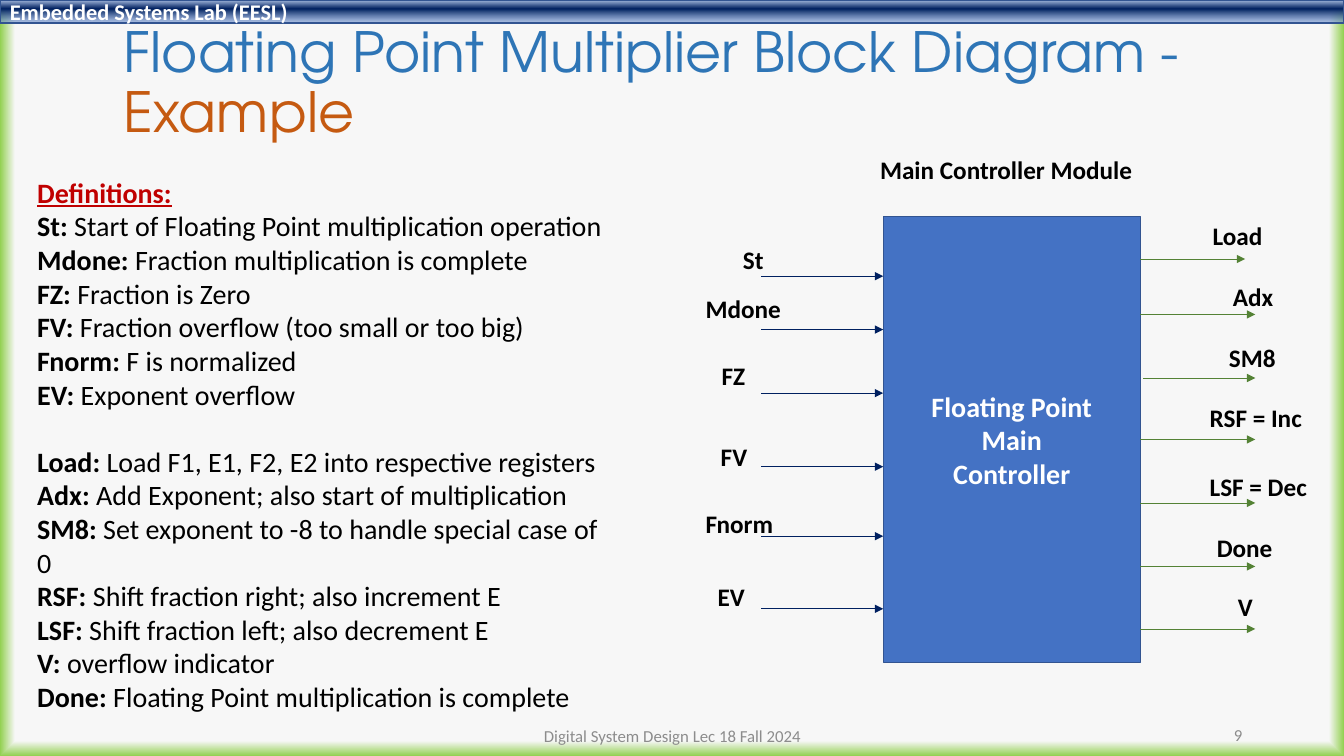
import pptx
import pptx.util
import pptx.dml.color
import pptx.enum.shapes
import pptx.enum.text
import pptx.oxml
import pptx.oxml.ns
from lxml import etree

Inches = pptx.util.Inches
Pt = pptx.util.Pt
RGBColor = pptx.dml.color.RGBColor
PP_ALIGN = pptx.enum.text.PP_ALIGN
MSO_ANCHOR = pptx.enum.text.MSO_ANCHOR
MSO_SHAPE = pptx.enum.shapes.MSO_SHAPE
qn = pptx.oxml.ns.qn

BLACK = RGBColor(0x00, 0x00, 0x00)
WHITE = RGBColor(0xFF, 0xFF, 0xFF)
NAVY = RGBColor(0x00, 0x20, 0x60)
GREEN = RGBColor(0x54, 0x82, 0x35)
BLUE = RGBColor(0x44, 0x72, 0xC4)
OUTLINE = RGBColor(0x32, 0x54, 0x91)
TITLE_BLUE = RGBColor(0x2E, 0x75, 0xB6)
ORANGE = RGBColor(0xC5, 0x5A, 0x11)
RED = RGBColor(0xC0, 0x00, 0x00)
GRAY = RGBColor(0x8C, 0x8C, 0x8C)


def set_gradient(fill_parent, stops, direction):
    stop_xml = "".join(
        f'<a:gs pos="{pos * 1000}"><a:srgbClr val="{color}">'
        f'<a:alpha val="{alpha * 1000}"/></a:srgbClr></a:gs>'
        for pos, color, alpha in stops)
    gradient = pptx.oxml.parse_xml(
        f'<a:gradFill {pptx.oxml.ns.nsdecls("a")} rotWithShape="1">'
        f'<a:gsLst>{stop_xml}</a:gsLst>{direction}</a:gradFill>')
    old = fill_parent.find(qn("a:gradFill"))
    fill_parent.replace(old, gradient)


def write(sp, lines, size, color, bold=False, align=PP_ALIGN.LEFT,
          anchor=MSO_ANCHOR.TOP, wrap=True, font="Calibri"):
    tf = sp.text_frame
    tf.word_wrap = wrap
    tf.vertical_anchor = anchor
    for i, line in enumerate(lines):
        p = tf.paragraphs[0] if i == 0 else tf.add_paragraph()
        p.alignment = align
        for text in line:
            r = p.add_run()
            r.text = text
            r.font.name = font
            r.font.size = Pt(size)
            r.font.bold = bold
            r.font.color.rgb = color
    return tf


prs = pptx.Presentation()
prs.slide_width = Inches(13.33)
prs.slide_height = Inches(7.5)
s = prs.slides.add_slide(prs.slide_layouts[6])

s.background.fill.gradient()
set_gradient(s.element.find(".//" + qn("p:bgPr")),
             [(96, "F7F7F7", 100), (100, "92D050", 100)],
             '<a:path path="shape"><a:fillToRect l="50000" t="50000" '
             'r="50000" b="50000"/></a:path>')

banner = s.shapes.add_shape(MSO_SHAPE.RECTANGLE, 0, 0, Inches(13.33), Inches(0.23))
banner.fill.gradient()
set_gradient(banner.element.spPr,
             [(2, "ABC0E4", 100), (38, "002060", 100), (93, "7E9ED6", 64)],
             '<a:lin ang="5400000" scaled="0"/>')
write(banner, [["Embedded Systems Lab (EESL)"]], 16, WHITE, True,
      anchor=MSO_ANCHOR.MIDDLE)

title = s.shapes.add_textbox(Inches(1.13), Inches(0.26), Inches(11.64), Inches(1.15))
tf = write(title, [["Floating Point Multiplier Block Diagram - ", "Example"]],
           39.6, TITLE_BLUE, anchor=MSO_ANCHOR.MIDDLE, font="TeX Gyre Adventor")
tf.paragraphs[0].line_spacing = 0.9
tf.paragraphs[0].runs[1].font.color.rgb = ORANGE

controller = s.shapes.add_shape(MSO_SHAPE.RECTANGLE, Inches(8.76), Inches(2.15),
                                Inches(2.55), Inches(4.42))
controller.fill.solid()
controller.fill.fore_color.rgb = BLUE
write(controller, [["Floating Point"], ["Main"], ["Controller"]], 20, WHITE, True,
      PP_ALIGN.CENTER, MSO_ANCHOR.MIDDLE)

for sp in (banner, controller):
    sp.shadow.inherit = False
    sp.line.color.rgb = OUTLINE
    sp.line.width = Pt(1)

labels = [
    ("Main Controller Module", 8.63, 1.48, 2.72),
    ("St", 7.27, 2.37, 0.41),
    ("Mdone", 6.9, 2.86, 0.95),
    ("FZ", 7.06, 3.53, 0.43),
    ("FV", 7.05, 4.33, 0.47),
    ("Fnorm", 6.9, 4.99, 0.88),
    ("EV", 7.02, 5.72, 0.47),
    ("Load", 11.93, 2.14, 0.7),
    ("Adx", 12.13, 2.74, 0.61),
    ("SM8", 12.09, 3.35, 0.67),
    ("RSF = Inc", 11.9, 3.94, 1.13),
    ("LSF = Dec", 11.9, 4.63, 1.17),
    ("Done", 11.97, 5.23, 0.75),
    ("V", 12.18, 5.82, 0.35),
]
for text, x, y, width in labels:
    sp = s.shapes.add_textbox(Inches(x), Inches(y), Inches(width), Inches(0.4))
    write(sp, [[text]], 18, BLACK, True, wrap=False)

inputs = [(7.55, 8.76, y, NAVY) for y in (2.74, 3.27, 3.9, 4.63, 5.32, 6.04)]
outputs = [(11.31, 12.35, 2.57, GREEN), (11.31, 12.45, 3.12, GREEN),
           (11.34, 12.45, 3.75, GREEN)]
outputs += [(11.31, 12.45, y, GREEN) for y in (4.36, 4.99, 5.62, 6.24)]
for x1, x2, y, color in inputs + outputs:
    arrow = s.shapes.add_connector(pptx.enum.shapes.MSO_CONNECTOR.STRAIGHT,
                                   Inches(x1), Inches(y), Inches(x2), Inches(y))
    arrow.line.color.rgb = color
    arrow.line.width = Pt(0.5)
    etree.SubElement(arrow.line._get_or_add_ln(), qn("a:tailEnd"), type="triangle")
    etree.SubElement(arrow.element.spPr, qn("a:effectLst"))
    if y == 4.36:
        arrow.begin_connect(controller, 3)

definitions = [
    ["Definitions:"],
    ["St:", " Start of Floating Point multiplication operation"],
    ["Mdone:", " Fraction multiplication is complete"],
    ["FZ: ", "Fraction is Zero"],
    ["FV: ", "Fraction overflow (too small or too big)"],
    ["Fnorm: ", "F is normalized"],
    ["EV: ", "Exponent overflow"],
    ["Load: ", "Load F1, E1, F2, E2 into respective registers"],
    ["Adx: ", "Add Exponent; also start of multiplication"],
    ["SM8: ", "Set exponent to -8 to handle special case of 0"],
    ["RSF: ", "Shift fraction right; also increment E"],
    ["LSF: ", "Shift fraction left; also decrement E"],
    ["V: ", "overflow indicator"],
    ["Done: ", "Floating Point multiplication is complete"],
]
sp = s.shapes.add_textbox(Inches(0.27), Inches(1.69), Inches(5.85), Inches(5.49))
tf = write(sp, definitions, 20, BLACK)
for p in tf.paragraphs:
    p.runs[0].font.bold = True
    if p.text.startswith("Load:"):
        p.space_before = Pt(24)
heading = tf.paragraphs[0].runs[0]
heading.font.color.rgb = RED
heading.font.underline = True

for text, x, y, width, align in [
        ("9", 9.42, 7.09, 3, PP_ALIGN.RIGHT),
        ("Digital System Design Lec 18 Fall 2024", 4.42, 7.1, 4.5, PP_ALIGN.CENTER)]:
    sp = s.shapes.add_textbox(Inches(x), Inches(y), Inches(width), Inches(0.4))
    write(sp, [[text]], 12, GRAY, align=align, anchor=MSO_ANCHOR.MIDDLE)

prs.save("out.pptx")
